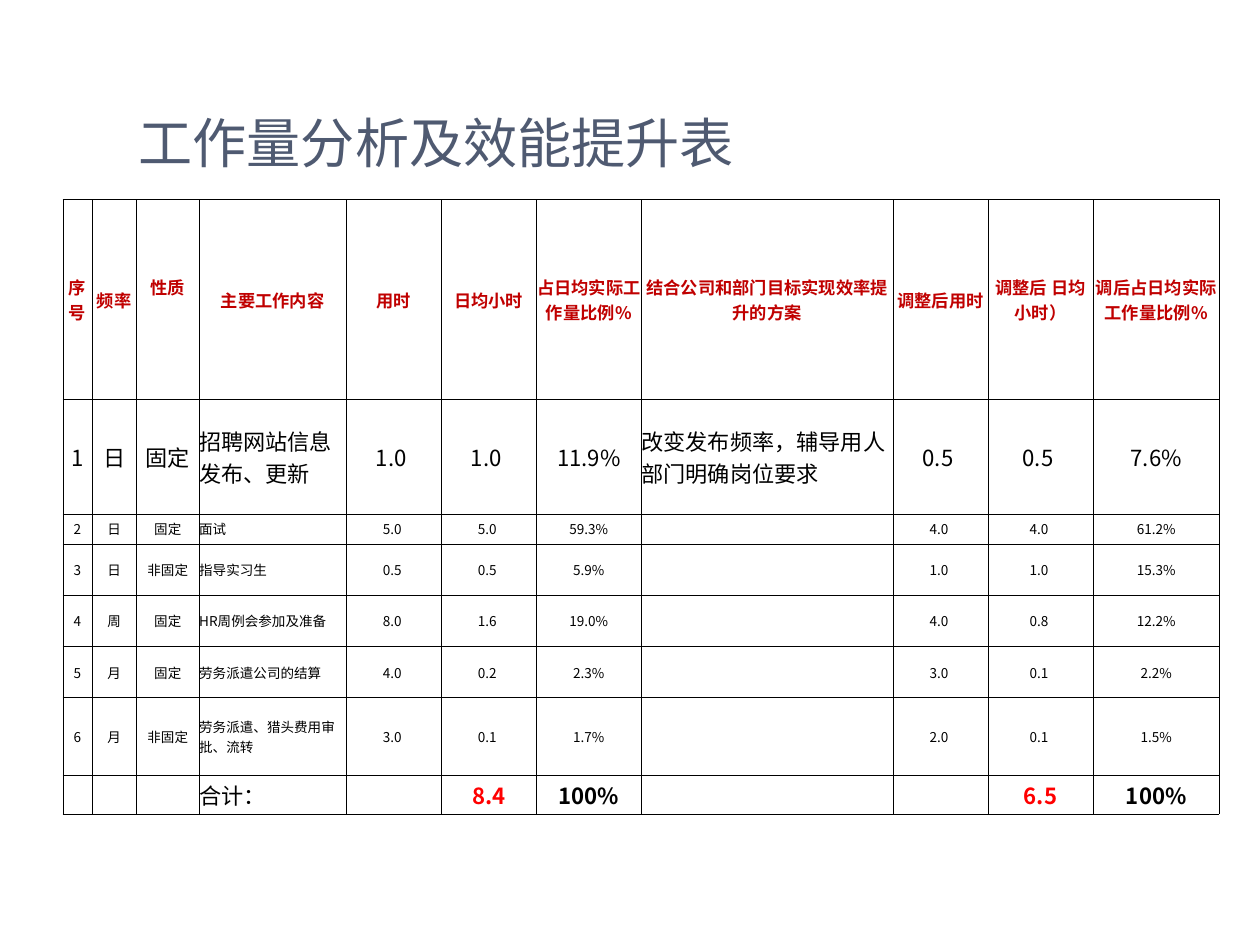
from dataclasses import dataclass

from lxml import etree
from pptx import Presentation
from pptx.dml.color import RGBColor
from pptx.enum.text import MSO_ANCHOR, PP_ALIGN
from pptx.oxml.ns import qn
from pptx.util import Cm, Pt

LEFT, CENTER = PP_ALIGN.LEFT, PP_ALIGN.CENTER
MIDDLE, BOTTOM = MSO_ANCHOR.MIDDLE, MSO_ANCHOR.BOTTOM


@dataclass(frozen=True)
class Theme:
    font: str = "Noto Sans CJK SC"
    title: str = "4F5A71"
    header: str = "C00000"
    text: str = "000000"
    total: str = "FF0000"
    title_size: int = 44
    header_size: int = 14
    large_size: int = 18
    small_size: int = 11
    border: float = 0.5


THEME = Theme()

# Table content
HEADERS = ["序号", "频率", "性质", "主要工作内容", "用时", "日均小时",
           "占日均实际工作量比例%", "结合公司和部门目标实现效率提升的方案",
           "调整后用时", "调整后 日均小时）", "调后占日均实际工作量比例%"]
TASKS = [
    ["日", "固定", "招聘网站信息发布、更新", 1.0, 1.0, "11.9%",
     "改变发布频率，辅导用人部门明确岗位要求", 0.5, 0.5, "7.6%"],
    ["日", "固定", "面试", 5.0, 5.0, "59.3%", "", 4.0, 4.0, "61.2%"],
    ["日", "非固定", "指导实习生", 0.5, 0.5, "5.9%", "", 1.0, 1.0, "15.3%"],
    ["周", "固定", "HR周例会参加及准备", 8.0, 1.6, "19.0%", "", 4.0, 0.8, "12.2%"],
    ["月", "固定", "劳务派遣公司的结算", 4.0, 0.2, "2.3%", "", 3.0, 0.1, "2.2%"],
    ["月", "非固定", "劳务派遣、猎头费用审批、流转", 3.0, 0.1, "1.7%", "",
     2.0, 0.1, "1.5%"],
]
TOTALS = ["", "", "", "合计：", "", "8.4", "100%", "", "", "6.5", "100%"]

COL_WIDTHS = [0.84, 1.27, 1.8, 4.22, 2.72, 2.72, 3.02, 7.21, 2.72, 3.02, 3.61]
ROW_HEIGHTS = [5.74, 3.28, 0.86, 1.47, 1.47, 1.47, 2.21, 1.12]
NATURE_COL, CONTENT_COL, PLAN_COL = 2, 3, 7
HOURS_COLS = (5, 9)


def format_text(p, size, color, bold=False, align=LEFT):
    p.alignment = align
    for r in p.runs:
        r.font.size = Pt(size)
        r.font.bold = bold
        r.font.name = THEME.font
        r.font.color.rgb = RGBColor.from_string(color)
        ea = etree.SubElement(r.font._element, qn("a:ea"))
        ea.set("typeface", THEME.font)


def add_title(s, text):
    sp = s.shapes.title
    sp.left, sp.top, sp.width, sp.height = Cm(3.61), Cm(0.69), Cm(32.51), Cm(4.52)
    tf = sp.text_frame
    tf.text = text
    tf.vertical_anchor = BOTTOM
    tf.margin_left = tf.margin_right = Cm(0.36)
    tf.margin_top = tf.margin_bottom = Cm(0.18)
    p = tf.paragraphs[0]
    p.line_spacing = 0.9
    format_text(p, THEME.title_size, THEME.title)


def set_borders(cell):
    tc_pr = cell._tc.get_or_add_tcPr()
    for side in ("a:lnL", "a:lnR", "a:lnT", "a:lnB"):
        ln = etree.SubElement(tc_pr, qn(side), w=str(Pt(THEME.border)))
        fill = etree.SubElement(ln, qn("a:solidFill"))
        etree.SubElement(fill, qn("a:srgbClr"), val=THEME.text)


def cell_style(row, col):
    """Size, colour and weight by the row's role."""
    if row == 0:
        return THEME.header_size, THEME.header, True
    if row == len(ROW_HEIGHTS) - 1:
        color = THEME.total if col in HOURS_COLS else THEME.text
        return THEME.large_size, color, col != CONTENT_COL
    return (THEME.large_size if row == 1 else THEME.small_size), THEME.text, False


def fill_cell(cell, value, row, col):
    set_borders(cell)
    cell.fill.background()
    cell.vertical_anchor = MIDDLE
    cell.margin_left = cell.margin_right = cell.margin_top = cell.margin_bottom = 0
    tf = cell.text_frame
    tf.text = f"{value:.1f} " if isinstance(value, float) else value
    left = row > 0 and col in (CONTENT_COL, PLAN_COL)
    format_text(tf.paragraphs[0], *cell_style(row, col), LEFT if left else CENTER)


def add_workload_table(s, rows):
    frame = s.shapes.add_table(len(rows), len(HEADERS), Cm(1.8), Cm(5.72),
                               Cm(sum(COL_WIDTHS)), Cm(sum(ROW_HEIGHTS)))
    table = frame.table
    table.first_row = table.horz_banding = False
    for column, width in zip(table.columns, COL_WIDTHS):
        column.width = Cm(width)
    for i, (values, height) in enumerate(zip(rows, ROW_HEIGHTS)):
        table.rows[i].height = Cm(height)
        for j, value in enumerate(values):
            fill_cell(table.cell(i, j), value, i, j)
    # This heading sits one half line above the others
    table.cell(0, NATURE_COL).margin_bottom = Cm(0.7)


def main():
    prs = Presentation()
    prs.slide_width, prs.slide_height = Cm(36.12), Cm(27.1)
    s = prs.slides.add_slide(prs.slide_layouts[5])
    add_title(s, "工作量分析及效能提升表")
    tasks = [[str(n), *task] for n, task in enumerate(TASKS, 1)]
    add_workload_table(s, [HEADERS, *tasks, TOTALS])
    prs.save("out.pptx")


if __name__ == "__main__":
    main()
